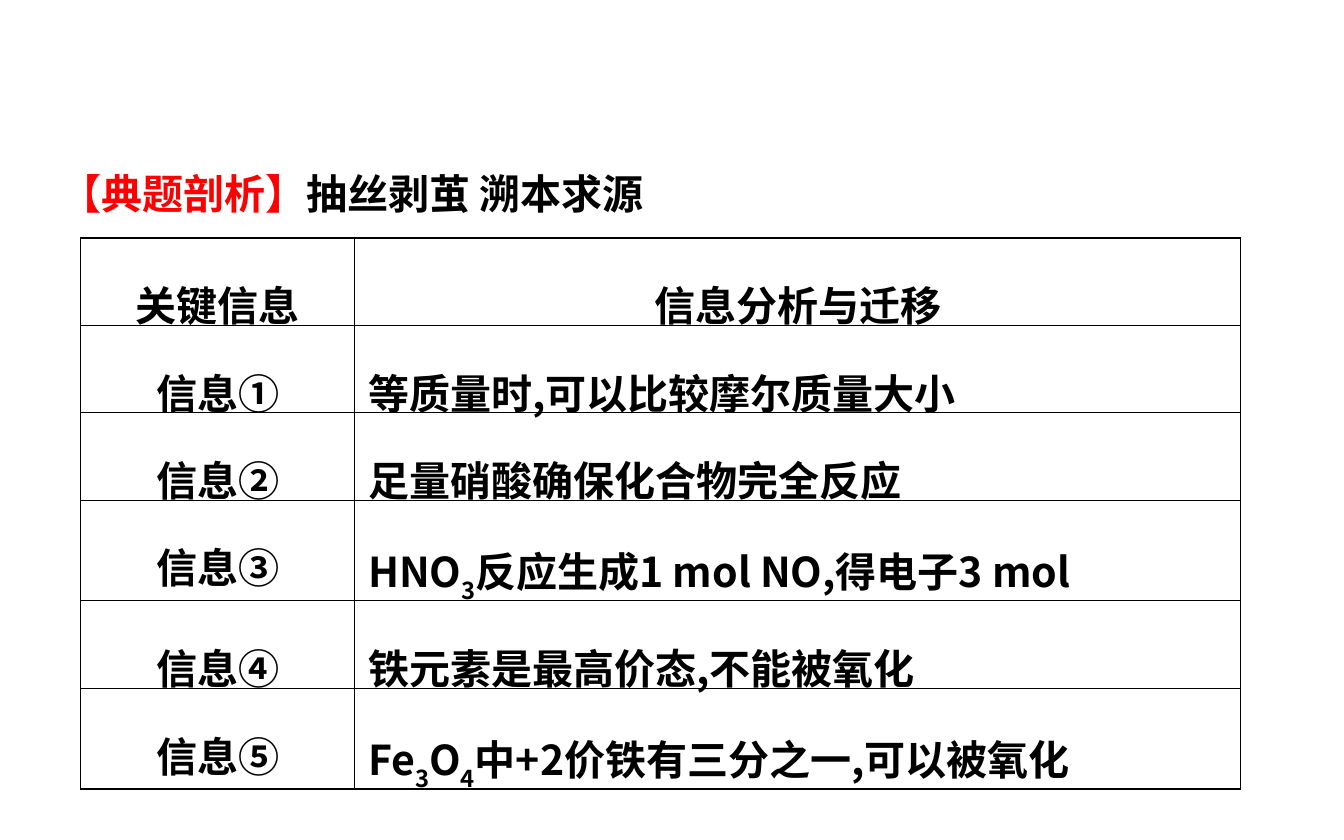
from pptx import Presentation
from pptx.dml.color import RGBColor
from pptx.enum.text import MSO_ANCHOR, PP_ALIGN
from pptx.oxml.ns import qn
from pptx.util import Inches, Pt
from lxml.etree import SubElement

FONT = "Noto Sans CJK SC"
THIN, THICK = Pt(0.45), Pt(0.96)
COLUMN_WIDTHS = [2.04, 6.59]
ROW_HEIGHTS = [0.65, 0.65, 0.65, 0.75, 0.65, 0.75]
# Text between underscores is subscript.
ROWS = [
    ("关键信息", "信息分析与迁移"),
    ("信息①", "等质量时,可以比较摩尔质量大小"),
    ("信息②", "足量硝酸确保化合物完全反应"),
    ("信息③", "HNO_3_反应生成1 mol NO,得电子3 mol"),
    ("信息④", "铁元素是最高价态,不能被氧化"),
    ("信息⑤", "Fe_3_O_4_中+2价铁有三分之一,可以被氧化"),
]


def style(paragraph, line_spacing):
    paragraph.line_spacing = line_spacing
    font = paragraph.font
    font.name, font.size, font.bold = FONT, Pt(22), True
    font.color.rgb = RGBColor.from_string("000000")
    SubElement(font._element, qn("a:ea"), typeface=FONT)


def add_border(cell, side, width):
    """Draw one side of a cell: L, R, T or B, called in that order."""
    line = SubElement(cell._tc.get_or_add_tcPr(), qn(f"a:ln{side}"), w=str(width))
    fill = SubElement(line, qn("a:solidFill"))
    SubElement(fill, qn("a:srgbClr"), val="000000")


prs = Presentation()
prs.slide_width, prs.slide_height = Inches(10), Inches(6.25)
slide = prs.slides.add_slide(prs.slide_layouts[6])

heading_box = slide.shapes.add_textbox(Inches(0.35), Inches(0.91), Inches(9.43), Inches(0.76))
heading_box.text_frame.word_wrap = True
heading = heading_box.text_frame.paragraphs[0]
style(heading, 1.8)
label = heading.add_run()
label.text = "【典题剖析】"
label.font.color.rgb = RGBColor.from_string("FF0000")
heading.add_run().text = "抽丝剥茧\u3000溯本求源".replace("\u3000", " ")

table = slide.shapes.add_table(
    len(ROWS), len(COLUMN_WIDTHS), Inches(0.6), Inches(1.77),
    Inches(sum(COLUMN_WIDTHS)), Inches(sum(ROW_HEIGHTS))).table
table.first_row = table.horz_banding = False
for column, width in zip(table.columns, COLUMN_WIDTHS):
    column.width = Inches(width)
for row, height in zip(table.rows, ROW_HEIGHTS):
    row.height = Inches(height)

last_row, last_column = len(ROWS) - 1, len(COLUMN_WIDTHS) - 1
for r, texts in enumerate(ROWS):
    for c, text in enumerate(texts):
        cell = table.cell(r, c)
        cell.vertical_anchor = MSO_ANCHOR.MIDDLE
        outer_sides = {"L": c == 0, "R": c == last_column, "T": r == 0, "B": r == last_row}
        for side, is_outer in outer_sides.items():
            add_border(cell, side, THICK if is_outer else THIN)
        cell.fill.background()

        paragraph = cell.text_frame.paragraphs[0]
        paragraph.alignment = PP_ALIGN.CENTER if r == 0 or c == 0 else PP_ALIGN.LEFT
        style(paragraph, 1.5)
        for i, piece in enumerate(text.split("_")):
            run = paragraph.add_run()
            run.text = piece
            if i % 2:
                run.font._element.set("baseline", "-30000")

prs.save("out.pptx")
